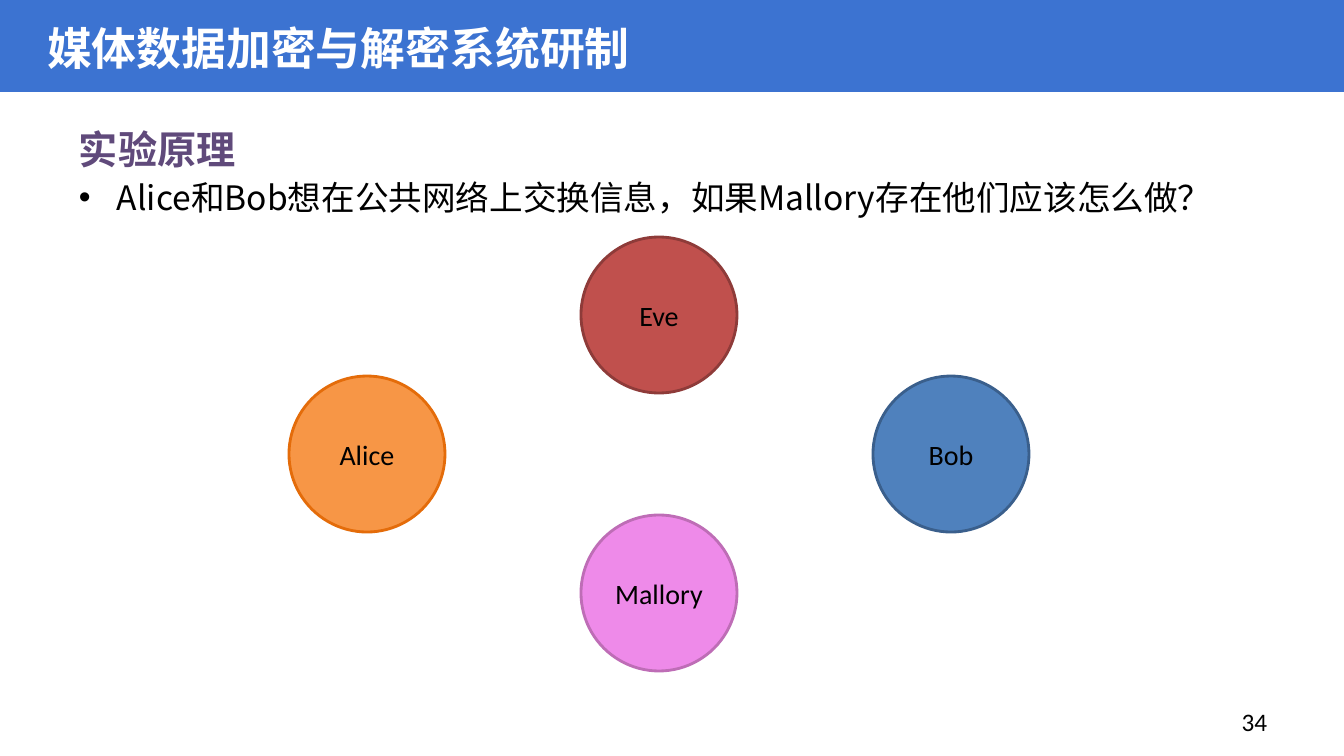
from dataclasses import dataclass

from lxml import etree
from pptx import Presentation
from pptx.dml.color import RGBColor
from pptx.enum.shapes import MSO_SHAPE
from pptx.enum.text import MSO_ANCHOR, PP_ALIGN
from pptx.oxml.ns import qn
from pptx.util import Emu, Pt

RECT, OVAL = MSO_SHAPE.RECTANGLE, MSO_SHAPE.OVAL
MIDDLE, TOP = MSO_ANCHOR.MIDDLE, MSO_ANCHOR.TOP
LEFT, CENTER, RIGHT = PP_ALIGN.LEFT, PP_ALIGN.CENTER, PP_ALIGN.RIGHT
EMU_PER_PX = 914400 / 100.8


@dataclass(frozen=True)
class Theme:
    band: str = "3C73D1"
    title: str = "FFFFFF"
    heading: str = "604A7B"
    text: str = "000000"
    title_font: str = "Noto Sans CJK JP"
    body_font: str = "Noto Sans CJK SC"
    label_font: str = "Calibri"
    title_size: int = 32
    heading_size: int = 28
    body_size: int = 24
    label_size: int = 20
    number_size: int = 18
    outline: int = 2
    line_spacing: float = 1.1


THEME = Theme()

DIAMOND_CENTER = (659, 454)
DIAMOND_REACH = (292, 139)
CIRCLE_SIZE = 156
# name, column and row step from the diamond centre, fill, outline
PARTIES = [
    ("Alice", -1, 0, "F79646", "E46C0A"),
    ("Bob", 1, 0, "4F81BD", "3A5F8C"),
    ("Eve", 0, -1, "C0504D", "8E3B39"),
    ("Mallory", 0, 1, "EE8AE9", "BE6DB6"),
]


def px(n):
    return Emu(round(n * EMU_PER_PX))


def rgb(color):
    return RGBColor.from_string(color)


def style_paragraph(p, font, size, color, bold=False, align=LEFT):
    p.alignment = align
    for r in p.runs:
        r.font.name = font
        r.font.size = Pt(size)
        r.font.bold = bold
        r.font.color.rgb = rgb(color)
        ea = etree.SubElement(r.font._element, qn("a:ea"))
        ea.set("typeface", font)


def add_bullet(p, indent):
    pPr = p._p.get_or_add_pPr()
    pPr.set("marL", str(px(indent)))
    pPr.set("indent", str(-px(indent)))
    etree.SubElement(pPr, qn("a:buFont")).set("typeface", "Arial")
    etree.SubElement(pPr, qn("a:buChar")).set("char", "•")


def add_filled_shape(s, kind, box, fill, outline=None):
    shape = s.shapes.add_shape(kind, *map(px, box))
    shape.shadow.inherit = False
    shape.fill.solid()
    shape.fill.fore_color.rgb = rgb(fill)
    if outline:
        shape.line.color.rgb = rgb(outline)
        shape.line.width = Pt(THEME.outline)
    else:
        shape.line.fill.background()
    return shape


def add_text_frame(s, box, anchor):
    tf = s.shapes.add_textbox(*map(px, box)).text_frame
    tf.word_wrap = True
    tf.vertical_anchor = anchor
    return tf


def add_title(s, text):
    band = add_filled_shape(s, RECT, (0, 0, 1344, 92), THEME.band)
    title = s.shapes.title
    band._element.addnext(title._element)
    title.left, title.top, title.width, title.height = map(px, (37, 13, 1185, 70))
    tf = title.text_frame
    tf.text = text
    tf.word_wrap = True
    tf.vertical_anchor = MIDDLE
    style_paragraph(tf.paragraphs[0], THEME.title_font, THEME.title_size,
                    THEME.title, bold=True)


def add_body(s, heading, question):
    tf = add_text_frame(s, (69, 116, 1210, 555), TOP)
    tf.text = heading
    p = tf.paragraphs[0]
    p.line_spacing = THEME.line_spacing
    style_paragraph(p, THEME.body_font, THEME.heading_size, THEME.heading, bold=True)
    p = tf.add_paragraph()
    p.text = question
    p.line_spacing = THEME.line_spacing
    style_paragraph(p, THEME.body_font, THEME.body_size, THEME.text)
    add_bullet(p, 38)


def add_party(s, name, column, row, fill, outline):
    left = DIAMOND_CENTER[0] + column * DIAMOND_REACH[0] - CIRCLE_SIZE // 2
    top = DIAMOND_CENTER[1] + row * DIAMOND_REACH[1] - CIRCLE_SIZE // 2
    circle = add_filled_shape(s, OVAL, (left, top, CIRCLE_SIZE, CIRCLE_SIZE),
                              fill, outline)
    tf = circle.text_frame
    tf.text = name
    tf.vertical_anchor = MIDDLE
    style_paragraph(tf.paragraphs[0], THEME.label_font, THEME.label_size,
                    THEME.text, align=CENTER)


def add_page_number(s, number):
    tf = add_text_frame(s, (964, 701, 313, 40), MIDDLE)
    tf.text = number
    style_paragraph(tf.paragraphs[0], THEME.label_font, THEME.number_size,
                    THEME.text, align=RIGHT)


def main():
    prs = Presentation()
    prs.slide_width, prs.slide_height = px(1344), px(756)
    s = prs.slides.add_slide(prs.slide_layouts[5])
    add_title(s, "媒体数据加密与解密系统研制")
    add_page_number(s, "34")
    add_body(s, "实验原理",
             "Alice和Bob想在公共网络上交换信息，如果Mallory存在他们应该怎么做？")
    for party in PARTIES:
        add_party(s, *party)
    prs.save("out.pptx")


if __name__ == "__main__":
    main()
